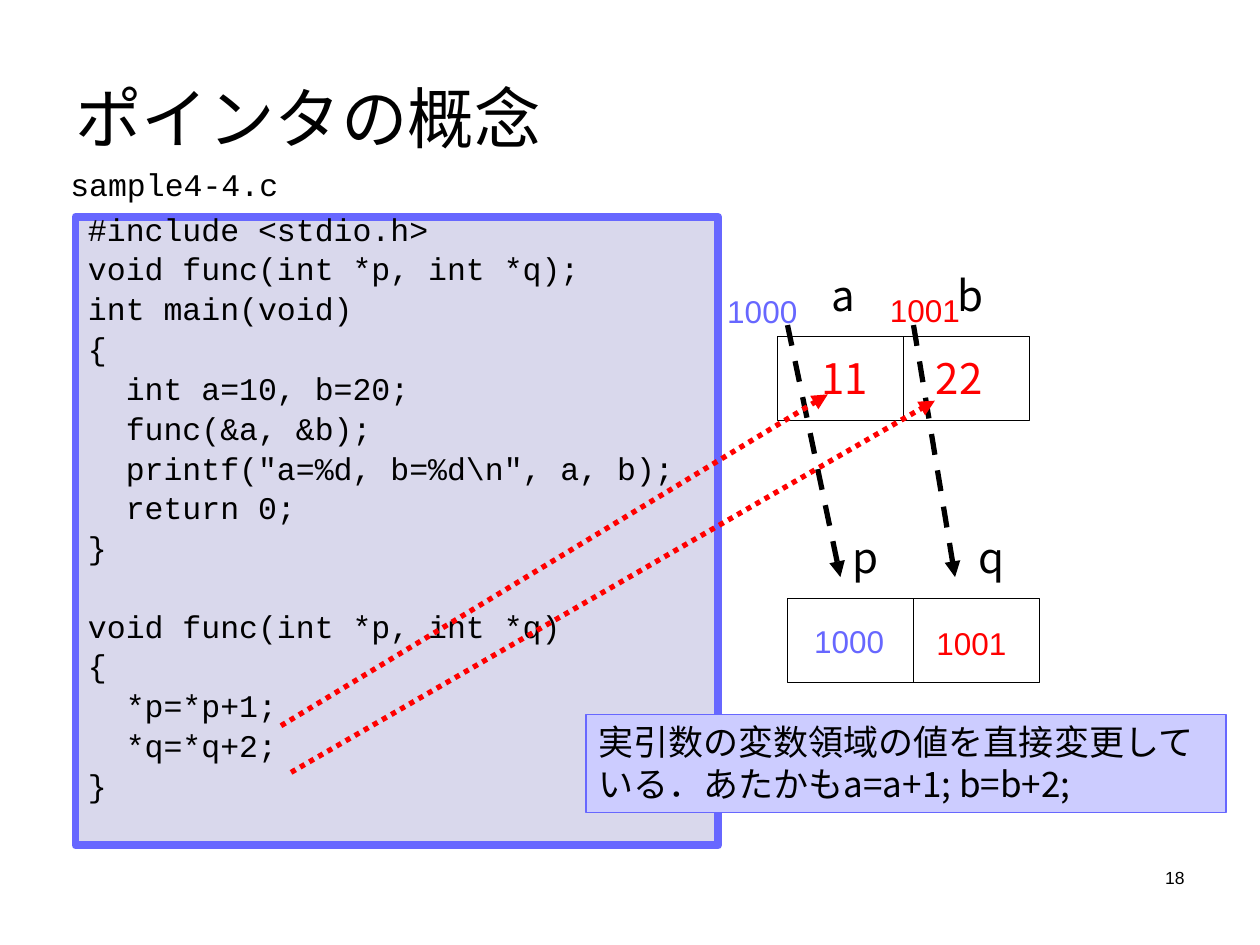
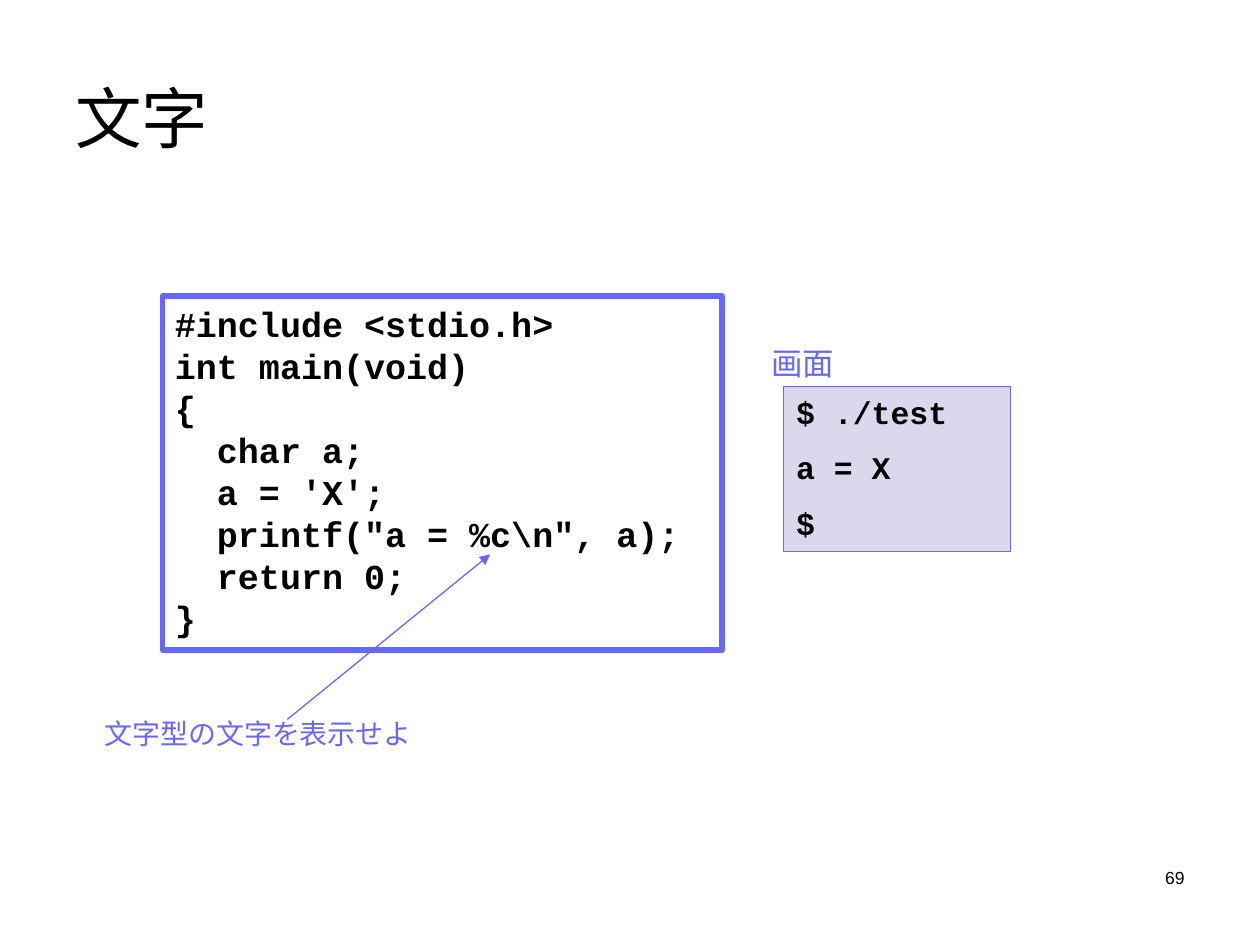
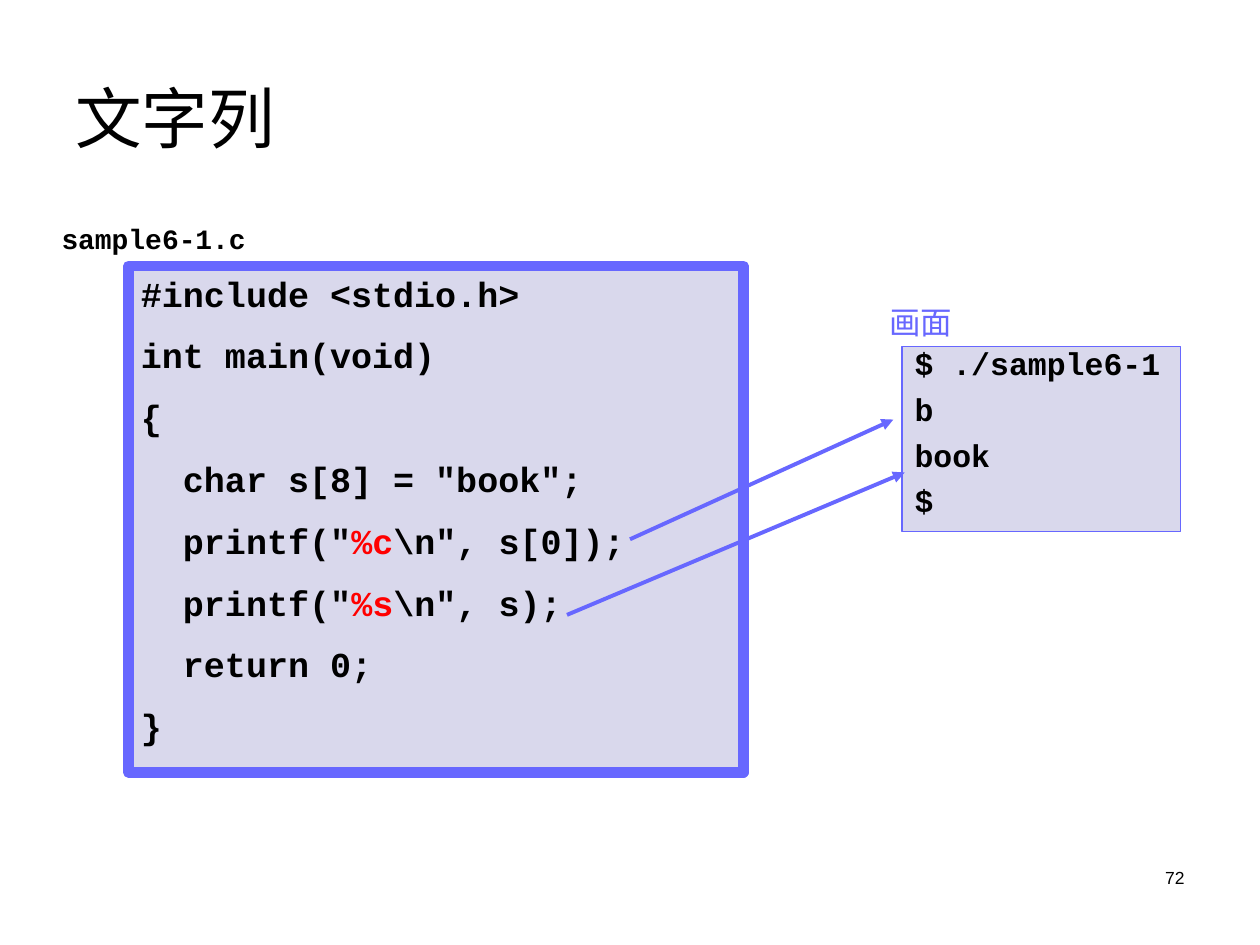
from lxml.etree import SubElement
from pptx import Presentation
from pptx.dml.color import RGBColor
from pptx.enum.dml import MSO_LINE
from pptx.enum.shapes import MSO_CONNECTOR as CONNECTOR, MSO_SHAPE as SHAPE
from pptx.enum.text import MSO_ANCHOR as ANCHOR, PP_ALIGN as ALIGN
from pptx.oxml.ns import qn
from pptx.util import Inches, Pt

BLACK = RGBColor(0x00, 0x00, 0x00)
WHITE = RGBColor(0xFF, 0xFF, 0xFF)
RED = RGBColor(0xFF, 0x00, 0x00)
BLUE = RGBColor(0x67, 0x67, 0xFF)
LAVENDER = RGBColor(0xD9, 0xD8, 0xEC)
PERIWINKLE = RGBColor(0xCC, 0xCC, 0xFF)

SANS = "Arial"
CODE = "Courier New"
JAPANESE = "Noto Sans CJK JP"

POINTER_CODE = r"""#include <stdio.h>
void func(int *p, int *q);
int main(void)
{
  int a=10, b=20;
  func(&a, &b);
  printf("a=%d, b=%d\n", a, b);
  return 0;
}

void func(int *p, int *q)
{
  *p=*p+1;
  *q=*q+2;
}"""

CHARACTER_CODE = r"""#include <stdio.h>
int main(void)
{
  char a;
  a = 'X';
  printf("a = %c\n", a);
  return 0;
}"""

STRING_CODE = r"""#include <stdio.h>
int main(void)
{
  char s[8] = "book";
  printf("%c\n", s[0]);
  printf("%s\n", s);
  return 0;
}"""


class Deck:
    """Hold the shared style and the current slide, and draw each kind of element."""

    def __init__(self):
        self.presentation = Presentation()
        self.presentation.slide_width = Inches(10)
        self.presentation.slide_height = Inches(7.5)
        self.slide = None

    def new_slide(self, title, number):
        self.slide = self.presentation.slides.add_slide(self.presentation.slide_layouts[6])
        self.text(title, 0.5, 0.3, 9, 1.25, size=38, anchor=ANCHOR.MIDDLE)
        self.text(number, 7.17, 6.83, 2.33, 0.5, size=10, align=ALIGN.RIGHT)

    def text(self, text, left, top, width, height, **style):
        shape = self.slide.shapes.add_textbox(
            Inches(left), Inches(top), Inches(width), Inches(height))
        self.add_text(shape, text, **style)

    def box(self, left, top, width, height, fill=None, line=BLACK, weight=0.75, text="", **style):
        shape = self.slide.shapes.add_shape(
            SHAPE.RECTANGLE, Inches(left), Inches(top), Inches(width), Inches(height))
        shape.shadow.inherit = False
        if fill is None:
            shape.fill.background()
        else:
            shape.fill.solid()
            shape.fill.fore_color.rgb = fill
        shape.line.color.rgb = line
        shape.line.width = Pt(weight)
        if text:
            self.add_text(shape, text, **style)

    def code(self, text, left, top, width, height, fill=LAVENDER, weight=0.75, **style):
        self.box(left, top, width, height, fill, BLUE, weight, text, font=CODE, **style)

    def screen(self, text, left, top, width, height, **style):
        self.code(text, left, top, width, height, size=18, bold=True, gap=10, **style)
        self.text("画面", left - 0.25, top - 0.39, 0.8, 0.4, color=BLUE, align=ALIGN.CENTER)

    def cells(self, left, top, names, name_left):
        width, height = 1, 0.67
        middle = left + width
        self.box(left, top, 2 * width, height, WHITE)
        self.line((middle, top), (middle, top + height))
        for index, name in enumerate(names):
            self.text(name, name_left + index * width, top - 0.58, 0.75, 0.5, size=24, font=JAPANESE)

    def line(self, start, end, color=BLACK, weight=0.75, dash=None, arrow=False):
        connector = self.slide.shapes.add_connector(
            CONNECTOR.STRAIGHT, *(Inches(value) for value in (*start, *end)))
        connector.line.color.rgb = color
        connector.line.width = Pt(weight)
        if dash is not None:
            connector.line.dash_style = dash
        properties = connector.element.spPr
        if arrow:
            SubElement(properties.find(qn("a:ln")), qn("a:tailEnd"), type="triangle")
        SubElement(properties, qn("a:effectLst"))

    def add_text(self, shape, text, size=18, font=SANS, color=BLACK, bold=False, align=ALIGN.LEFT,
                 anchor=ANCHOR.TOP, spacing=None, gap=0, blank=0, accents=(), wrap=True):
        frame = shape.text_frame
        frame.word_wrap = wrap
        frame.vertical_anchor = anchor
        paragraph, extra = None, 0
        for row in text.split("\n"):
            if not row:
                extra = blank
                continue
            first = paragraph is None
            paragraph = frame.paragraphs[0] if first else frame.add_paragraph()
            paragraph.alignment = align
            paragraph.space_before = Pt(0 if first else gap + extra)
            if spacing:
                paragraph.line_spacing = spacing
            extra = 0
            accent = next((mark for mark in accents if mark in row), None)
            pieces = row.partition(accent) if accent else (row,)
            for piece in pieces:
                run = paragraph.add_run()
                run.text = piece
                run.font.size = Pt(size)
                run.font.bold = bold
                run.font.color.rgb = RED if piece == accent else color
                run.font.name = font
        for properties in shape.element.iter(qn("a:rPr")):
            SubElement(properties, qn("a:ea"), typeface=JAPANESE)


def pointer_slide(deck):
    deck.new_slide("ポインタの概念", "18")
    deck.code(POINTER_CODE, 0.6, 1.72, 5.1, 4.99, weight=4.5, spacing=0.6, gap=9.8, blank=22)
    deck.box(4.65, 5.67, 5.08, 0.78, PERIWINKLE, BLUE, size=20, font=JAPANESE,
             text="実引数の変数領域の値を直接変更している．あたかもa=a+1; b=b+2;")
    deck.cells(6.17, 2.67, "ab", 6.5)
    deck.cells(6.25, 4.75, "pq", 6.67)
    for value, left in (("11", 6.42), ("22", 7.33)):
        deck.text(value, left, 2.75, 0.67, 0.5, size=24, font=JAPANESE, color=RED)
    for start, end in ((6.25, 6.67), (7.25, 7.58)):
        deck.line((start, 2.58), (end, 4.58), weight=3, dash=MSO_LINE.DASH, arrow=True)
    addresses = (("1000", 5.58, 2.27, BLUE), ("1001", 6.87, 2.26, RED),
                 ("1000", 6.27, 4.89, BLUE), ("1001", 7.24, 4.9, RED))
    for address, left, top, color in addresses:
        deck.text(address, left, top, 0.94, 0.4, color=color, align=ALIGN.CENTER)
    for start, end in (((2.23, 5.76), (6.57, 3.13)), ((2.31, 6.13), (7.42, 3.18))):
        deck.line(start, end, RED, 3, MSO_LINE.ROUND_DOT, arrow=True)
    deck.text("sample4-4.c", 0.46, 1.26, 1.9, 0.4, font=CODE)


def character_slide(deck):
    deck.new_slide("文字", "69")
    deck.screen("$ ./test\na = X\n$", 6.22, 3.07, 1.8, 1.31)
    deck.text("文字型の文字を表示せよ", 0.55, 5.64, 3, 0.37, size=16, color=BLUE, align=ALIGN.CENTER)
    deck.line((2.28, 5.71), (3.89, 4.4), BLUE, arrow=True)
    deck.code(CHARACTER_CODE, 1.29, 2.35, 4.44, 2.81, fill=None, weight=3, size=20, bold=True)


def string_slide(deck):
    deck.new_slide("文字列", "72")
    deck.screen("$ ./sample6-1\nb\nbook\n$", 7.16, 2.75, 2.21, 1.47, spacing=0.75)
    deck.code(STRING_CODE, 1.02, 2.11, 4.88, 4.02, weight=6, size=20, bold=True, gap=11.3,
              accents=("%c", "%s"))
    for start, end in (((5, 4.28), (7.09, 3.33)), ((4.5, 4.88), (7.18, 3.75))):
        deck.line(start, end, BLUE, 2.25, arrow=True)
    deck.text("sample6-1.c", 0.39, 1.71, 1.67, 0.37, size=16, font=CODE, bold=True, wrap=False)


def main():
    deck = Deck()
    pointer_slide(deck)
    character_slide(deck)
    string_slide(deck)
    deck.presentation.save("out.pptx")


if __name__ == "__main__":
    main()
